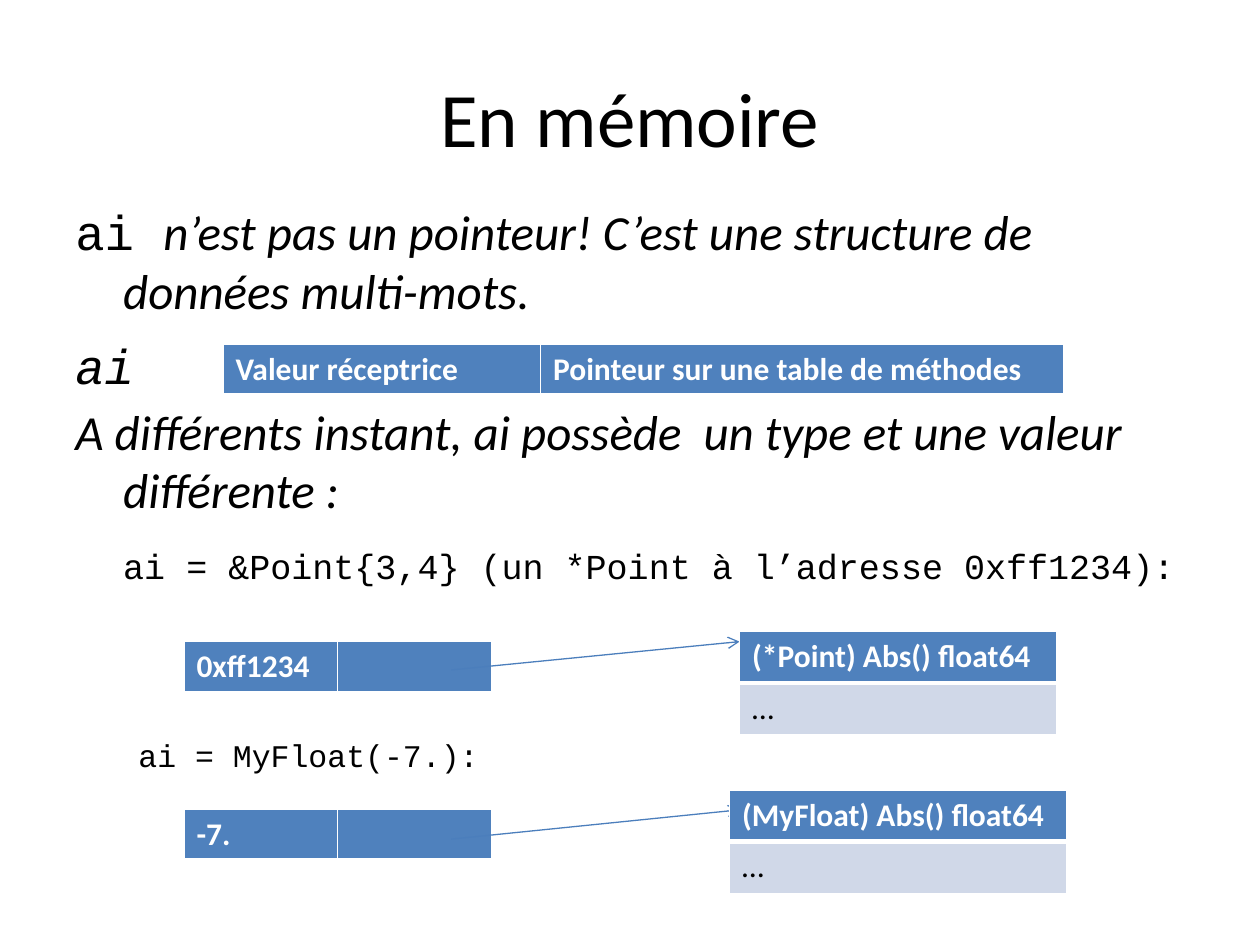
from lxml import etree
from pptx import Presentation
from pptx import util as u
from pptx.dml.color import RGBColor
from pptx.enum import shapes, text
from pptx.oxml import ns

BLACK = RGBColor(0x00, 0x00, 0x00)
WHITE = RGBColor(0xFF, 0xFF, 0xFF)
HEADER = RGBColor(0x4F, 0x81, 0xBD)
BAND = RGBColor(0xD0, 0xD8, 0xE8)
ARROW = RGBColor(0x4B, 0x7E, 0xBC)
SANS, MONO = "Calibri", "Courier New"
W, H = u.Inches(10), u.Inches(7.5)
ROW = 0.41 / 7.5

deck = Presentation()
deck.slide_width, deck.slide_height = W, H
slide = deck.slides.add_slide(deck.slide_layouts[6])


def add_run(paragraph, words, color=BLACK, **font):
    run = paragraph.add_run()
    run.text = words
    run.font.color.rgb = color
    for name, value in font.items():
        setattr(run.font, name, value)


def add_grid(left, top, widths, rows):
    """Table with a dark header row; positions are shares of the slide."""
    grid = slide.shapes.add_table(len(rows), len(widths), int(left * W), int(top * H),
                                  int(sum(widths) * W), int(ROW * len(rows) * H)).table
    for column, width in zip(grid.columns, widths):
        column.width = int(width * W)
    for r, words in enumerate(rows):
        grid.rows[r].height = int(ROW * H)
        for c, word in enumerate(words):
            cell = grid.cell(r, c)
            cell.fill.solid()
            cell.fill.fore_color.rgb = BAND if r else HEADER
            paragraph = cell.text_frame.paragraphs[0]
            paragraph.font.size = u.Pt(18)
            if word:
                add_run(paragraph, word, BLACK if r else WHITE,
                        name=SANS, size=u.Pt(18), bold=r == 0)
            borders = {"lnL": 1, "lnR": 1, "lnT": 1 if r == 0 else 3, "lnB": 1 if r else 3}
            for i, (side, points) in enumerate(borders.items()):
                border = etree.Element(ns.qn("a:" + side), w=str(u.Pt(points)))
                fill = etree.SubElement(border, ns.qn("a:solidFill"))
                etree.SubElement(fill, ns.qn("a:srgbClr"), val=str(WHITE))
                cell._tc.get_or_add_tcPr().insert(i, border)


# Title
title = slide.shapes.add_textbox(int(0.05 * W), int(0.04 * H), int(0.9 * W), int(H / 6)).text_frame
title.word_wrap = True
title.vertical_anchor = text.MSO_ANCHOR.MIDDLE
title.paragraphs[0].alignment = text.PP_ALIGN.CENTER
add_run(title.paragraphs[0], "En mémoire", name=SANS, size=u.Pt(44))

# Explanation: left margin, first-line indent (inches), space before (points), runs
HANGING, CODE, SUBCODE = (0.38, -0.38), (0.38, 0), (0.81, -0.31)
explanation = [
    (HANGING, 0, [("ai ", MONO, 28, False),
                  ("n’est pas un pointeur! C’est une structure de données multi-mots.",
                   SANS, 28, True)]),
    (HANGING, 9, [("ai", MONO, 28, True)]),
    (HANGING, 4, [("A différents instant, ai possède  un type et une valeur différente :",
                   SANS, 28, True)]),
    (CODE, 15, [("ai = &Point{3,4} (un *Point à l’adresse 0xff1234):", MONO, 20, False)]),
    (SUBCODE, 85, [("ai = MyFloat(-7.):", MONO, 18, False)]),
]
body = slide.shapes.add_textbox(int(0.05 * W), int(0.207 * H), int(0.9 * W), int(0.687 * H)).text_frame
body.word_wrap = True
for i, ((margin, indent), before, runs) in enumerate(explanation):
    paragraph = body.add_paragraph() if i else body.paragraphs[0]
    paragraph.space_before = u.Pt(before)
    properties = paragraph._p.get_or_add_pPr()
    properties.set("marL", str(u.Inches(margin)))
    properties.set("indent", str(u.Inches(indent)))
    for words, face, size, italic in runs:
        add_run(paragraph, words, name=face, size=u.Pt(size), italic=italic)

# Layout of an interface value, then the two example values
add_grid(0.177, 0.364, [0.252, 0.415], [["Valeur réceptrice", "Pointeur sur une table de méthodes"]])
for value, top in [("0xff1234", 0.679), ("-7.", 0.856)]:
    add_grid(0.146, top, [0.122, 0.122], [[value, ""]])

# Pointers to the method tables
for start, end in [(0.709, 0.679), (0.888, 0.857)]:
    pointer = slide.shapes.add_connector(shapes.MSO_CONNECTOR.STRAIGHT, int(0.358 * W),
                                         int(start * H), int(0.587 * W), int(end * H))
    pointer.line.color.rgb = ARROW
    pointer.line.width = u.Pt(0.75)
    etree.SubElement(pointer.line._get_or_add_ln(), ns.qn("a:tailEnd"), type="arrow")
    etree.SubElement(pointer._element.spPr, ns.qn("a:effectLst"))

for left, top, width, method in [(0.587, 0.668, 0.252, "(*Point) Abs() float64"),
                                 (0.579, 0.836, 0.268, "(MyFloat) Abs() float64")]:
    add_grid(left, top, [width], [[method], ["…"]])

deck.save("out.pptx")
